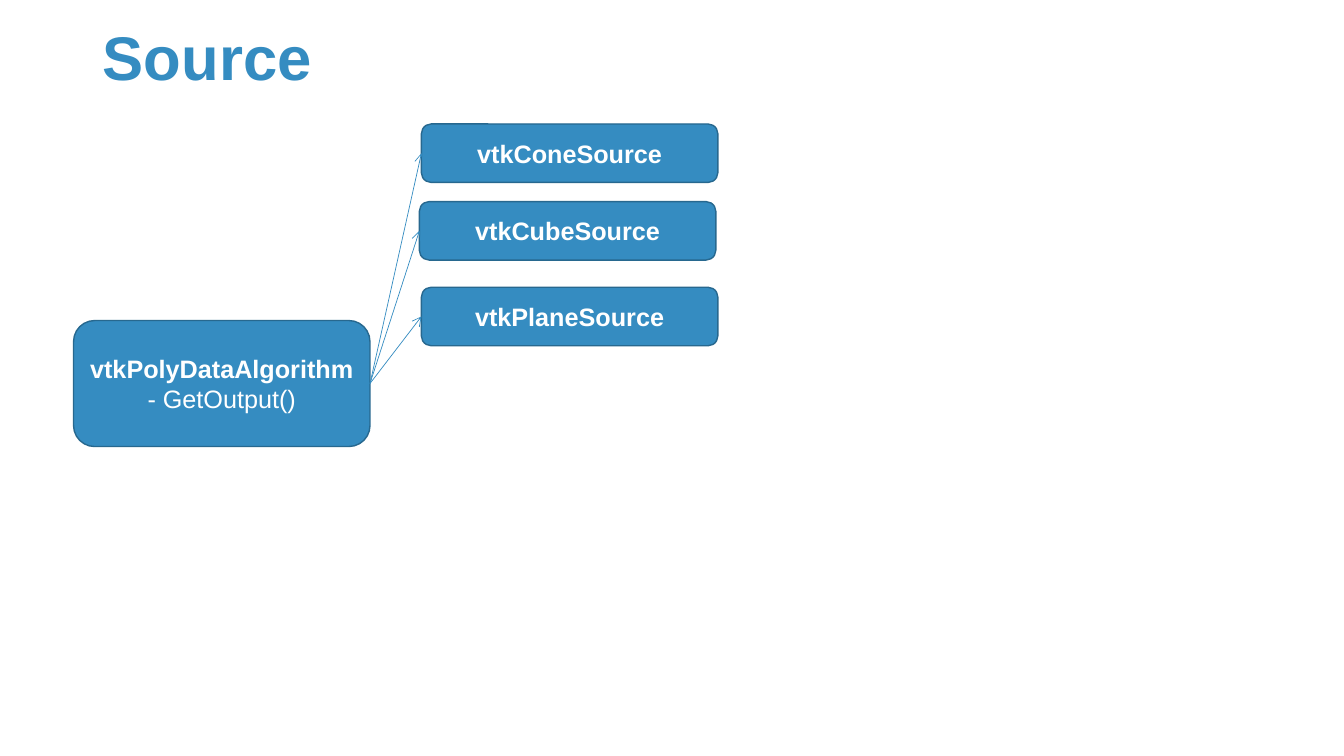
from lxml.etree import SubElement as Sub
from pptx import Presentation
from pptx.dml.color import RGBColor
from pptx.enum.shapes import MSO_CONNECTOR as Link, MSO_SHAPE as Shape
from pptx.enum.text import MSO_ANCHOR as Anchor, MSO_AUTO_SIZE as Fit, PP_ALIGN as Align
from pptx.oxml.ns import qn
from pptx.util import Inches, Pt

BLUE = RGBColor(0x35, 0x8C, 0xC1)
EDGE = RGBColor(0x27, 0x68, 0x8F)
WHITE = RGBColor(0xFF, 0xFF, 0xFF)

deck = Presentation()
deck.slide_width, deck.slide_height = Inches(13.33), Inches(7.5)
slide = deck.slides.add_slide(deck.slide_layouts[5])
shapes = slide.shapes


def style(par, size, color, bold, align):
    par.alignment = align
    font = par.font
    for key, val in {"name": "Arial", "size": Pt(size), "bold": bold}.items():
        setattr(font, key, val)
    font.color.rgb = color


def add_box(left, top, high, lines):
    box = shapes.add_shape(Shape.ROUNDED_RECTANGLE, Inches(left), Inches(top),
                           Inches(2.94), Inches(high))
    box.shadow.inherit = False
    box.fill.solid()
    box.fill.fore_color.rgb = BLUE
    box.line.color.rgb = EDGE
    box.line.width = Pt(1)
    frame = box.text_frame
    frame.vertical_anchor = Anchor.MIDDLE
    frame.text = "\n".join(lines)
    for row, par in enumerate(frame.paragraphs):
        style(par, 18, WHITE, row == 0, Align.CENTER)
    return box


# Title
title = shapes.title
place = {"left": 0.92, "top": 0.2, "width": 11.5, "height": 0.8}
for key, val in place.items():
    setattr(title, key, Inches(val))
frame = title.text_frame
frame.text = "Source"
frame.auto_size = Fit.NONE
frame.vertical_anchor = Anchor.MIDDLE
head = frame.paragraphs[0]
head.line_spacing = 0.9
style(head, 44, BLUE, True, Align.LEFT)

# Base class
base = add_box(0.73, 3.18, 1.25, ["vtkPolyDataAlgorithm", "- GetOutput()"])

# Sources, each with an arrow from the base's right side to its left side
sources = [("vtkConeSource", 4.18, 1.23),
           ("vtkCubeSource", 4.16, 2),
           ("vtkPlaneSource", 4.18, 2.85)]
for name, left, top in sources:
    box = add_box(left, top, 0.58, [name])
    arrow = shapes.add_connector(Link.STRAIGHT, 0, 0, 0, 0)
    arrow.begin_connect(base, 3)
    arrow.end_connect(box, 1)
    arrow.line.color.rgb = BLUE
    arrow.line.width = Pt(0.5)
    Sub(arrow.line._get_or_add_ln(), qn("a:tailEnd"), type="arrow")
    Sub(arrow._element.spPr, qn("a:effectLst"))

deck.save("out.pptx")
